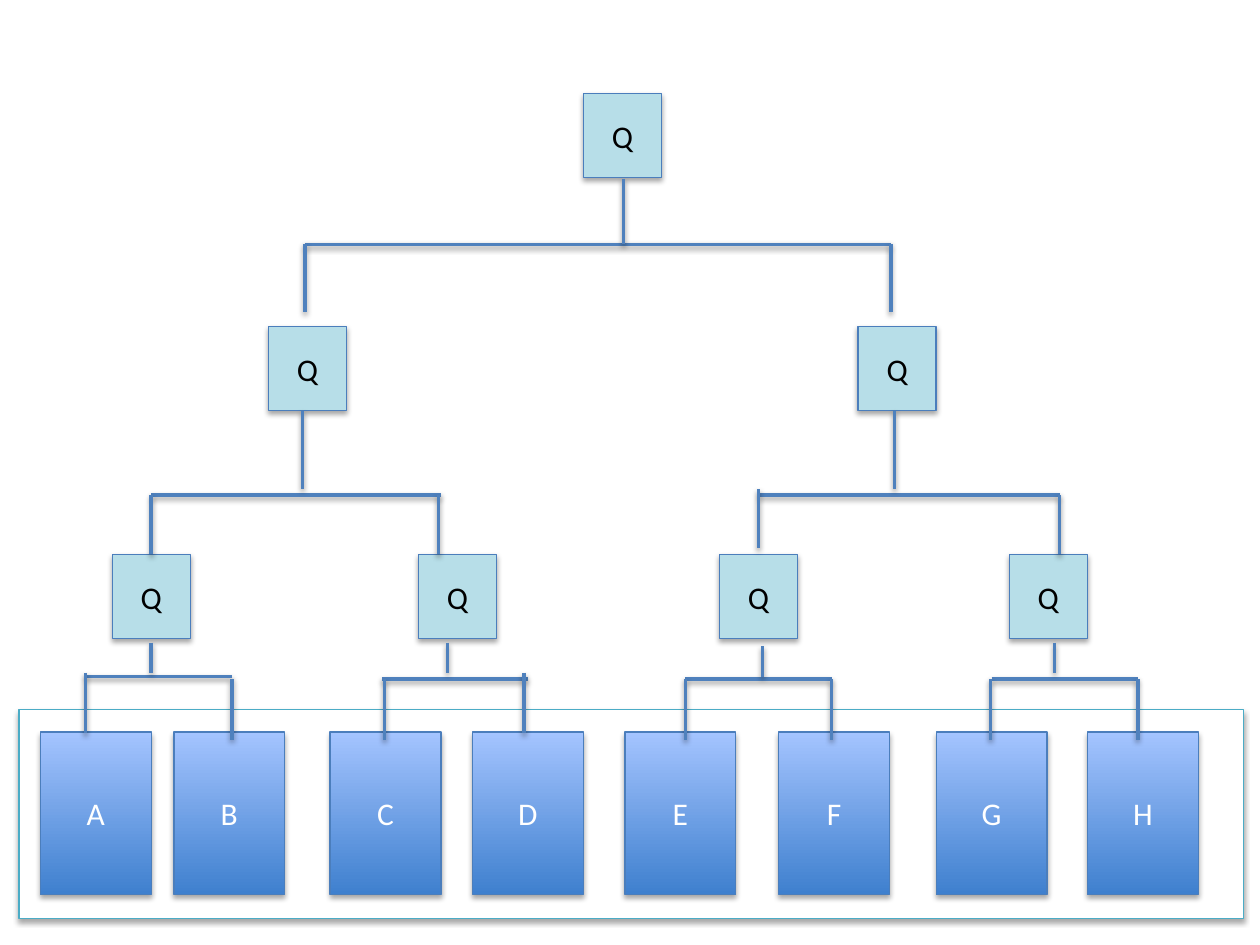
from lxml import etree
from pptx import Presentation
from pptx.dml.color import RGBColor
from pptx.enum import shapes, text
from pptx.oxml.ns import qn
from pptx.util import Inches, Pt

QUESTION_SIZE = (0.62, 0.67)
QUESTION_ROWS = [
    (0.74, [4.63]),
    (2.59, [2.13, 6.81]),
    (4.4, [0.89, 3.32, 5.71, 8.01]),
]
LEAF_SIZE = (0.88, 1.29)
LEAF_OFFSETS = [0.17, 1.23, 2.47, 3.6, 4.81, 6.03, 7.28, 8.48]

# Bar (left, top, width), stem (x, start, end), drops (x, start), drop length;
# stem and drops are measured from the left end of the bar.
BRANCHES = [
    ((2.42, 1.94, 4.65), (2.53, -0.52, 0), [(0, 0), (4.65, 0)], 0.54),
    ((1.2, 3.93, 2.3), (1.2, -0.67, -0.05), [(0, 0), (2.28, 0)], 0.47),
    ((6.02, 3.93, 2.39), (1.08, -0.67, -0.05), [(0, -0.05), (2.39, 0)], 0.47),
    ((0.68, 5.37, 1.16), (0.52, -0.27, -0.03), [(0, -0.03), (1.16, 0.02)], 0.48),
    ((3.03, 5.39, 1.16), (0.52, -0.29, -0.05), [(0.02, 0), (1.13, -0.05)], 0.48),
    ((5.44, 5.39, 1.16), (0.61, -0.26, -0.02), [(0, 0), (1.16, 0)], 0.48),
    ((7.87, 5.39, 1.16), (0.5, -0.29, -0.05), [(-0.01, 0), (1.16, 0)], 0.48),
]


def color(hex_code):
    return RGBColor.from_string(hex_code)


def add_shadow(shape, distance, opacity):
    """Add a soft downward shadow; the line must already be set."""
    properties = shape._element.spPr
    effects = etree.SubElement(properties, qn("a:effectLst"))
    shadow = etree.SubElement(
        effects, qn("a:outerShdw"), blurRad=str(Pt(3.1)),
        dist=str(Pt(distance)), dir="5400000", rotWithShape="0")
    black = etree.SubElement(shadow, qn("a:srgbClr"), val="000000")
    etree.SubElement(black, qn("a:alpha"), val=str(opacity * 1000))


def add_box(slide, left, top, width, height, fills, line="4B7EBC"):
    """Add a rectangle with one fill colour, or two from bottom to top."""
    shape = slide.shapes.add_shape(
        shapes.MSO_SHAPE.RECTANGLE,
        Inches(left), Inches(top), Inches(width), Inches(height))
    if len(fills) == 1:
        shape.fill.solid()
        shape.fill.fore_color.rgb = color(fills[0])
    else:
        shape.fill.gradient()
        shape.fill.gradient_angle = 90
        for stop, fill in zip(shape.fill.gradient_stops, fills):
            stop.color.rgb = color(fill)
    shape.line.color.rgb = color(line)
    shape.line.width = Pt(0.75)
    add_shadow(shape, 1.8, 35)
    return shape


def add_label(shape, label, font_color):
    frame = shape.text_frame
    frame.vertical_anchor = text.MSO_ANCHOR.MIDDLE
    paragraph = frame.paragraphs[0]
    paragraph.alignment = text.PP_ALIGN.CENTER
    run = paragraph.add_run()
    run.text = label
    run.font.name = "Calibri"
    run.font.size = Pt(18)
    run.font.color.rgb = color(font_color)


def add_line(slide, start_x, start_y, end_x, end_y):
    line = slide.shapes.add_connector(
        shapes.MSO_CONNECTOR.STRAIGHT,
        Inches(start_x), Inches(start_y), Inches(end_x), Inches(end_y))
    line.line.color.rgb = color("4F81BD")
    line.line.width = Pt(2)
    add_shadow(line, 1.6, 38)


def add_leaf_panel(slide, left, top, width, height):
    add_box(slide, left, top, width, height, ["FFFFFF"], "4BACC6")
    for label, offset in zip("ABCDEFGH", LEAF_OFFSETS):
        leaf = add_box(slide, left + offset, top + 0.18, *LEAF_SIZE,
                       ["3F80CE", "A4C4FF"])
        add_label(leaf, label, "FFFFFF")


def add_question_row(slide, top, lefts):
    for left in lefts:
        question = add_box(slide, left, top, *QUESTION_SIZE, ["B7DEE8"])
        add_label(question, "Q", "000000")


def add_branch(slide, bar, stem, drops, drop_length):
    left, top, width = bar
    add_line(slide, left, top, left + width, top)
    drop_lines = [(x, start, start + drop_length) for x, start in drops]
    for x, start, end in [stem, *drop_lines]:
        add_line(slide, left + x, top + start, left + x, top + end)


def main():
    presentation = Presentation()
    presentation.slide_width = Inches(10)
    presentation.slide_height = Inches(7.5)
    slide = presentation.slides.add_slide(presentation.slide_layouts[6])
    add_leaf_panel(slide, 0.15, 5.63, 9.72, 1.66)
    for top, lefts in QUESTION_ROWS:
        add_question_row(slide, top, lefts)
    for branch in BRANCHES:
        add_branch(slide, *branch)
    presentation.save("out.pptx")


if __name__ == "__main__":
    main()
